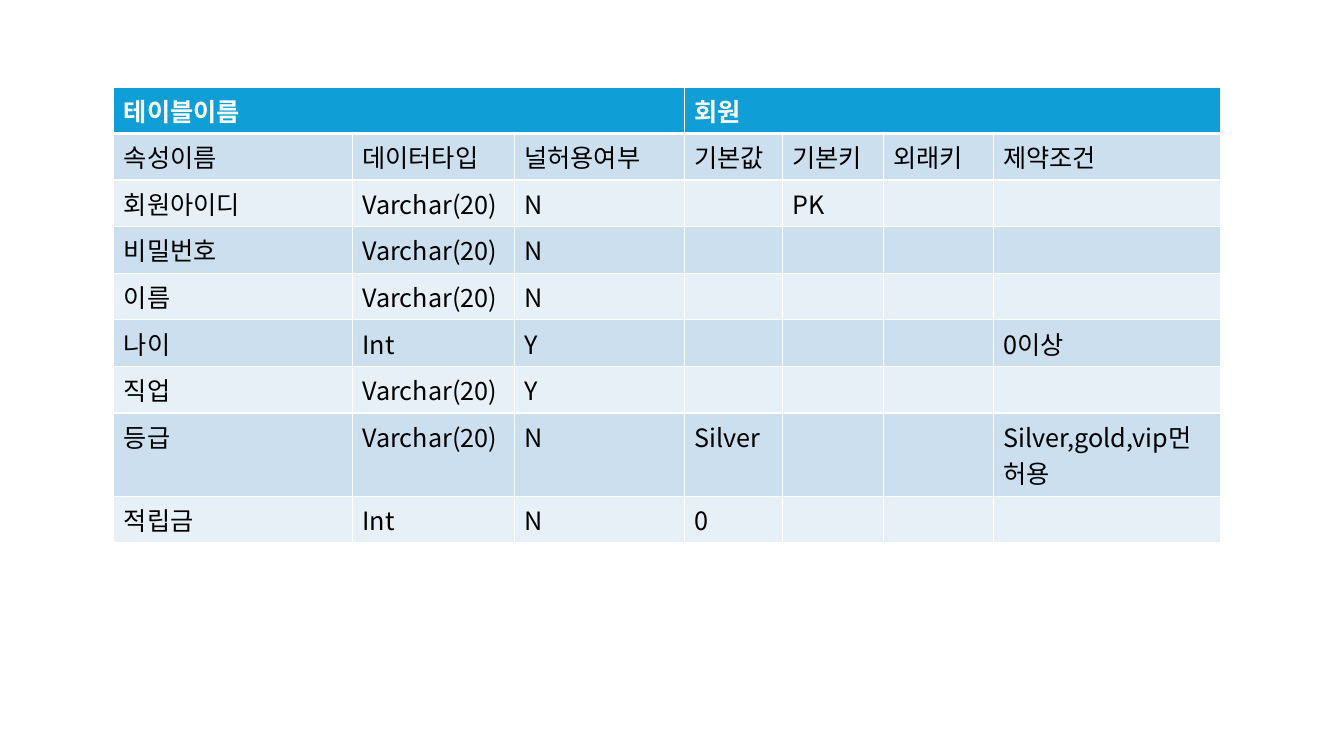
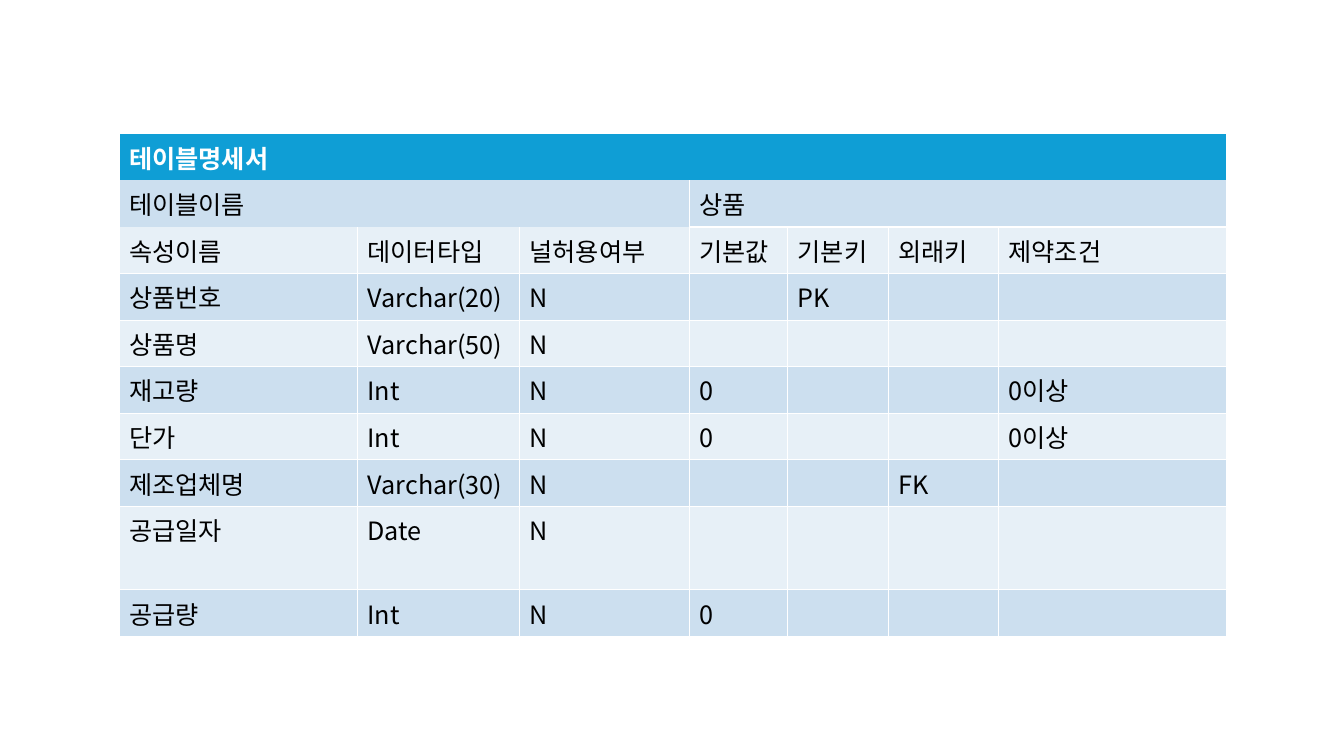
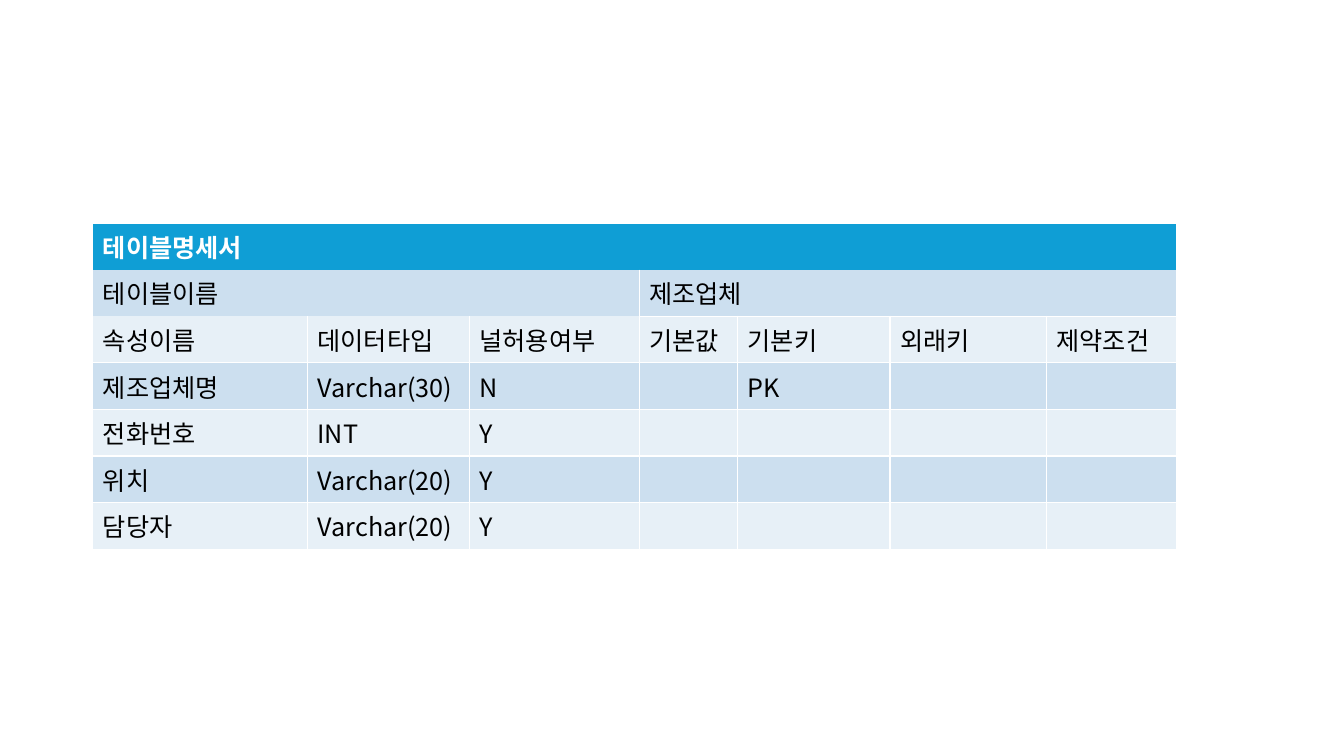
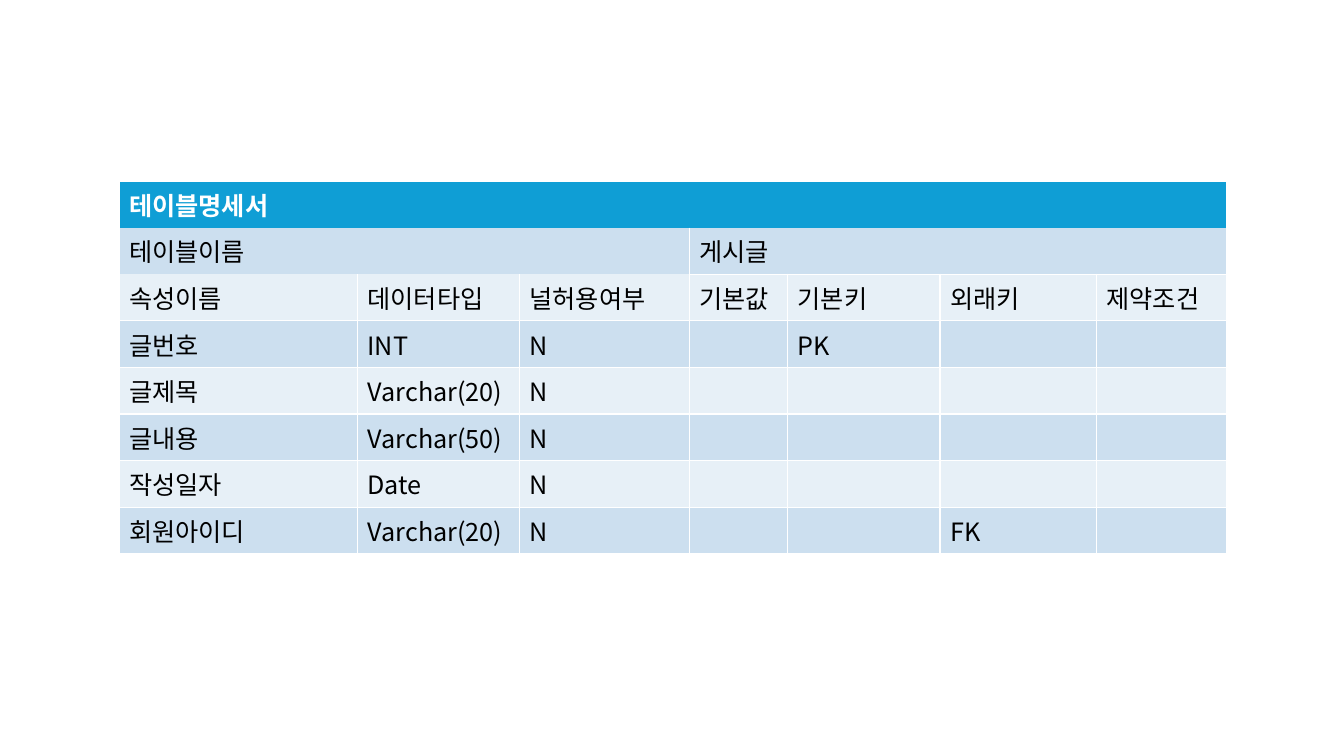
from lxml import etree
from pptx import Presentation
from pptx.dml.color import RGBColor
from pptx.oxml.ns import qn
from pptx.util import Cm, Pt

FONT = "Noto Sans CJK KR"
ACCENT, BAND_DARK, BAND_LIGHT = "0F9ED5", "CCDFEF", "E7F0F7"
WHITE, BLACK = "FFFFFF", "000000"
ROW_HEIGHT, TALL_ROW_HEIGHT = 1.17, 2.1
TITLE = ("테이블명세서",)
HEADINGS = ("속성이름", "데이터타입", "널허용여부", "기본값", "기본키", "외래키", "제약조건")
SPANS = {1: [(0, 6)], 2: [(0, 2), (3, 6)], 7: [(col, col) for col in range(7)]}
NAME_WIDTH, NARROW_NAME_WIDTH = 6.01, 5.41
SHARED_WIDTHS = [4.08, 4.28, 2.48]
WIDE_CONSTRAINT = [2.54, 2.77, 5.74]
WIDE_KEYS = [3.84, 3.94, 3.28]


def rgb(hex_color):
    return RGBColor.from_string(hex_color)


class Deck:
    header_format = {"size": Pt(18), "name": FONT, "bold": True}
    body_format = {"size": Pt(18), "name": FONT, "bold": False}

    def __init__(self):
        self.prs = Presentation()
        self.prs.slide_width, self.prs.slide_height = Cm(33.87), Cm(19.05)
        self.slide = None

    def new_slide(self):
        self.slide = self.prs.slides.add_slide(self.prs.slide_layouts[6])

    def border(self, cell, side, width):
        line = etree.SubElement(cell._tc.get_or_add_tcPr(), qn(f"a:ln{side}"), w=str(Pt(width)))
        if width:
            fill = etree.SubElement(line, qn("a:solidFill"))
            etree.SubElement(fill, qn("a:srgbClr"), val=WHITE)
        else:
            etree.SubElement(line, qn("a:noFill"))

    def cell_text(self, cell, text, is_header):
        run = cell.text_frame.paragraphs[0].add_run()
        run.text = text
        for attribute, value in (self.header_format if is_header else self.body_format).items():
            setattr(run.font, attribute, value)
        run.font.color.rgb = rgb(WHITE if is_header else BLACK)
        etree.SubElement(run._r.get_or_add_rPr(), qn("a:ea"), typeface=FONT)

    def rule_below(self, row, col, titled):
        if not titled:
            return 3 if row == 0 else 1
        return 0 if row == 0 or (row == 1 and col < 3) else 1

    def schema_table(self, left, top, widths, name, attributes, titled=True, tall_attribute=None):
        rows = [TITLE] if titled else []
        rows += [("테이블이름", name), HEADINGS, *attributes]
        heights = [TALL_ROW_HEIGHT if row[0] == tall_attribute else ROW_HEIGHT for row in rows]
        table = self.slide.shapes.add_table(
            len(rows), len(widths), Cm(left), Cm(top), Cm(sum(widths)), Cm(sum(heights))).table
        table.first_row = table.horz_banding = False
        for column, width in zip(table.columns, widths):
            column.width = Cm(width)
        for index, (texts, height) in enumerate(zip(rows, heights)):
            table.rows[index].height = Cm(height)
            color = ACCENT if index == 0 else BAND_DARK if index % 2 else BAND_LIGHT
            for col in range(len(widths)):
                cell = table.cell(index, col)
                above = self.rule_below(index - 1, col, titled) if index else 1
                below = self.rule_below(index, col, titled)
                for side, width in {"L": 1, "R": 1, "T": above, "B": below}.items():
                    self.border(cell, side, width)
                cell.fill.solid()
                cell.fill.fore_color.rgb = rgb(color)
            for text, (first, last) in zip(texts, SPANS[len(texts)]):
                cell = table.cell(index, first)
                if last > first:
                    cell.merge(table.cell(index, last))
                if text:
                    self.cell_text(cell, text, index == 0)


def main():
    deck = Deck()

    deck.new_slide()
    deck.schema_table(2.87, 2.19, [NAME_WIDTH, *SHARED_WIDTHS, *WIDE_CONSTRAINT], "회원", [
        ("회원아이디", "Varchar(20)", "N", "", "PK", "", ""),
        ("비밀번호", "Varchar(20)", "N", "", "", "", ""),
        ("이름", "Varchar(20)", "N", "", "", "", ""),
        ("나이", "Int", "Y", "", "", "", "0이상"),
        ("직업", "Varchar(20)", "Y", "", "", "", ""),
        ("등급", "Varchar(20)", "N", "Silver", "", "", "Silver,gold,vip먼 허용"),
        ("적립금", "Int", "N", "0", "", "", ""),
    ], titled=False, tall_attribute="등급")

    deck.new_slide()
    deck.schema_table(3, 3.37, [NAME_WIDTH, *SHARED_WIDTHS, *WIDE_CONSTRAINT], "상품", [
        ("상품번호", "Varchar(20)", "N", "", "PK", "", ""),
        ("상품명", "Varchar(50)", "N", "", "", "", ""),
        ("재고량", "Int", "N", "0", "", "", "0이상"),
        ("단가", "Int", "N", "0", "", "", "0이상"),
        ("제조업체명", "Varchar(30)", "N", "", "", "FK", ""),
        ("공급일자", "Date", "N", "", "", "", ""),
        ("공급량", "Int", "N", "0", "", "", ""),
    ], tall_attribute="공급일자")

    deck.new_slide()
    deck.schema_table(2.34, 5.62, [NARROW_NAME_WIDTH, *SHARED_WIDTHS, *WIDE_KEYS], "제조업체", [
        ("제조업체명", "Varchar(30)", "N", "", "PK", "", ""),
        ("전화번호", "INT", "Y", "", "", "", ""),
        ("위치", "Varchar(20)", "Y", "", "", "", ""),
        ("담당자", "Varchar(20)", "Y", "", "", "", ""),
    ])

    deck.new_slide()
    deck.schema_table(3, 4.56, [NAME_WIDTH, *SHARED_WIDTHS, *WIDE_KEYS], "게시글", [
        ("글번호", "INT", "N", "", "PK", "", ""),
        ("글제목", "Varchar(20)", "N", "", "", "", ""),
        ("글내용", "Varchar(50)", "N", "", "", "", ""),
        ("작성일자", "Date", "N", "", "", "", ""),
        ("회원아이디", "Varchar(20)", "N", "", "", "FK", ""),
    ])

    deck.prs.save("out.pptx")


if __name__ == "__main__":
    main()
